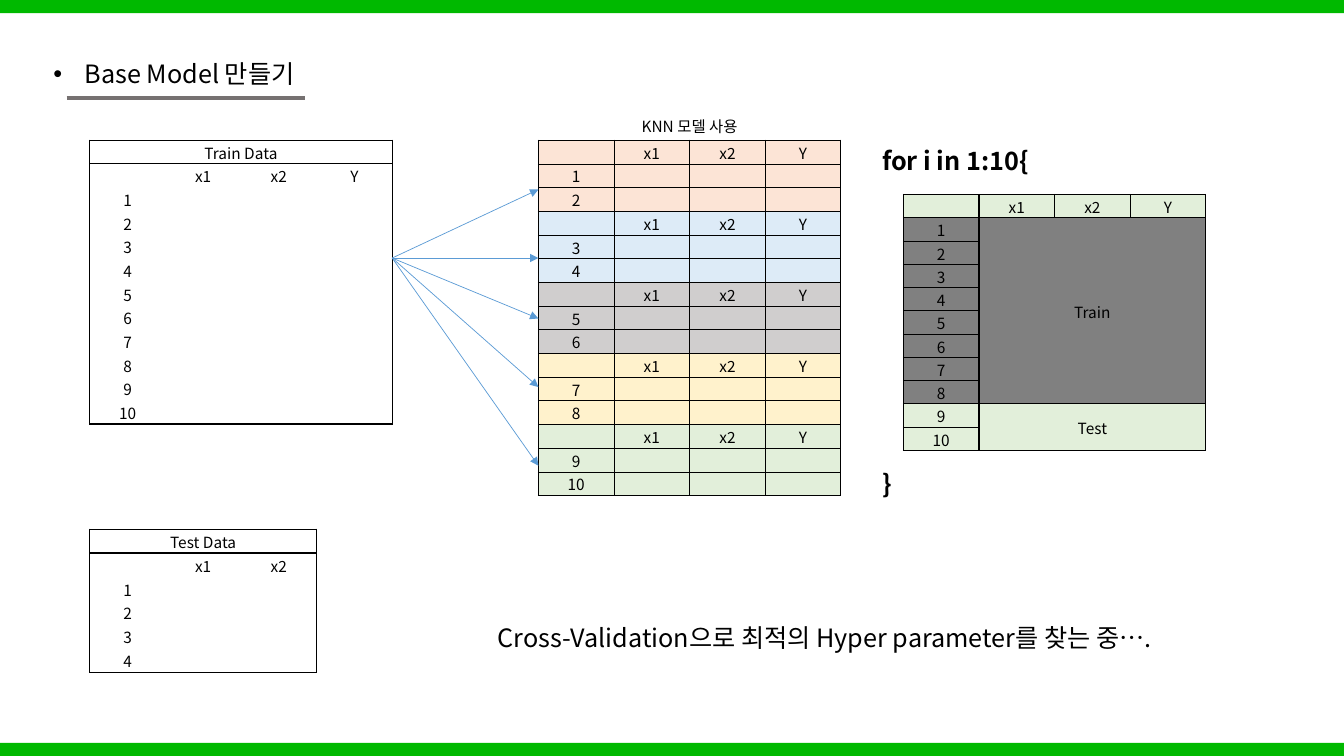
from lxml.etree import SubElement
from pptx import Presentation
from pptx.dml.color import RGBColor
from pptx.enum.shapes import MSO_CONNECTOR, MSO_SHAPE
from pptx.enum.text import MSO_ANCHOR, MSO_AUTO_SIZE, PP_ALIGN
from pptx.oxml import parse_xml
from pptx.oxml.ns import nsdecls, qn
from pptx.util import Inches, Pt

FONT = "Noto Sans CJK KR"
NO_GRID_STYLE = "{2D5ABB26-0587-4C30-8999-92F81FD0307C}"
COLORS = {
    "black": "000000", "bar": "00B900", "underline": "767171", "arrow": "5B9BD5",
    "orange": "FCE4D6", "blue": "DDEBF7", "gray": "D0CECE", "yellow": "FFF2CC",
    "green": "E2EFDA", "train": "808080",
}
FOLD_COLORS = ["orange", "blue", "gray", "yellow", "green"]
FOLD_ARROW_ENDS = [1.88, 2.56, 3.16, 3.84, 4.62]
HEADER = ["", "x1", "x2", "Y"]
COLUMN_WIDTH = 0.75


def color(name):
    """Return the named colour."""
    return RGBColor.from_string(COLORS[name])


def format_paragraph(paragraph, size, alignment=PP_ALIGN.LEFT, bold=False):
    """Apply the slide's font, size and alignment to a paragraph."""
    paragraph.alignment = alignment
    for run in paragraph.runs:
        run.font.size = Pt(size)
        run.font.bold = bold
        run.font.color.rgb = color("black")
        run.font.name = FONT
        SubElement(run.font._element, qn("a:ea"), typeface=FONT)


def fill_text(shape, text, size, alignment=PP_ALIGN.LEFT, bold=False):
    """Write one formatted paragraph into a shape that grows with its text."""
    frame = shape.text_frame
    frame.word_wrap = True
    frame.auto_size = MSO_AUTO_SIZE.SHAPE_TO_FIT_TEXT
    frame.vertical_anchor = MSO_ANCHOR.TOP
    frame.text = text
    format_paragraph(frame.paragraphs[0], size, alignment, bold)


def add_text(slide, at, text, size, alignment=PP_ALIGN.LEFT, bold=False):
    """Add a text box."""
    box = slide.shapes.add_textbox(*map(Inches, at))
    fill_text(box, text, size, alignment, bold)


def add_title(slide, at, text):
    """Place the title as a bulleted line."""
    title = slide.shapes.title
    title.left, title.top, title.width, title.height = map(Inches, at)
    fill_text(title, text, 18)
    properties = title.text_frame.paragraphs[0]._p.get_or_add_pPr()
    properties.set("marL", str(Inches(0.31)))
    properties.set("indent", str(Inches(-0.31)))
    SubElement(properties, qn("a:buFont"), typeface="Arial")
    SubElement(properties, qn("a:buChar"), char="•")


def add_bar(slide, top):
    """Add a green bar across the slide."""
    bar = slide.shapes.add_shape(
        MSO_SHAPE.RECTANGLE, 0, Inches(top), Inches(13.33), Inches(0.13))
    bar.shadow.inherit = False
    bar.fill.solid()
    bar.fill.fore_color.rgb = color("bar")
    bar.line.fill.background()


def add_line(slide, start, end, color_name, width, arrow=False):
    """Add a straight line, with an arrowhead at its end if wanted."""
    connector = slide.shapes.add_connector(
        MSO_CONNECTOR.STRAIGHT, *map(Inches, start + end))
    connector.line.color.rgb = color(color_name)
    connector.line.width = Pt(width)
    if arrow:
        SubElement(connector.line._get_or_add_ln(), qn("a:tailEnd"), type="triangle")
    SubElement(connector._element.spPr, qn("a:effectLst"))


def set_borders(cell, widths):
    """Set the left, right, top and bottom border widths of a cell."""
    properties = cell._tc.get_or_add_tcPr()
    for index, (side, width) in enumerate(zip("LRTB", widths)):
        paint = (f'<a:solidFill><a:srgbClr val="{COLORS["black"]}"/></a:solidFill>'
                 if width else "<a:noFill/>")
        properties.insert(index, parse_xml(
            f'<a:ln{side} {nsdecls("a")} w="{Pt(width)}">{paint}</a:ln{side}>'))


def format_cell(cell, text, fill):
    """Write and fill a table cell."""
    cell.margin_left = cell.margin_right = cell.margin_top = Inches(0.01)
    cell.margin_bottom = 0
    cell.vertical_anchor = MSO_ANCHOR.MIDDLE
    paragraph = cell.text_frame.paragraphs[0]
    paragraph.text = text
    format_paragraph(paragraph, 11, PP_ALIGN.CENTER)
    if not text:
        paragraph._p.get_or_add_endParaRPr().set("sz", "1100")
    if fill:
        cell.fill.solid()
        cell.fill.fore_color.rgb = color(fill)
    else:
        cell.fill.background()


def add_grid(slide, at, height, rows, fills, heavy_rows, heavy_columns, thin, merges=()):
    """Add a table whose heavy grid lines are 1 pt and all others thin."""
    column_count = len(rows[-1])
    width = column_count * COLUMN_WIDTH
    table = slide.shapes.add_table(
        len(rows), column_count, *map(Inches, (*at, width, height))).table
    table.first_row = table.horz_banding = False
    table._tbl.tblPr.find(qn("a:tableStyleId")).text = NO_GRID_STYLE
    for first, last in merges:
        table.cell(*first).merge(table.cell(*last))
    for r, texts in enumerate(rows):
        table.rows[r].height = Inches(height / len(rows))
        for c, text in enumerate(texts):
            cell = table.cell(r, c)
            format_cell(cell, text, fills[r])
            light = 0 if cell.is_spanned else thin
            right, bottom = c + cell.span_width, r + cell.span_height
            if cell.is_spanned:
                right, bottom = c + 1, r + 1
            set_borders(cell, [
                1 if c in heavy_columns else light,
                1 if right in heavy_columns else light,
                1 if r in heavy_rows else light,
                1 if bottom in heavy_rows else light])
    for c in range(column_count):
        table.columns[c].width = Inches(COLUMN_WIDTH)


def numbered_rows(first, last, column_count=4):
    """Return rows that hold only a number in the first column."""
    return [[str(n)] + [""] * (column_count - 1) for n in range(first, last + 1)]


def add_data_table(slide, at, height, name, header, count):
    """Add an outlined data table under a merged heading."""
    columns = len(header)
    rows = [[name] + [""] * (columns - 1), header, *numbered_rows(1, count, columns)]
    add_grid(slide, at, height, rows, [None] * len(rows), {0, 1, len(rows)},
             {0, columns}, 0, [((0, 0), (0, columns - 1))])


def add_fold_table(slide):
    """Add the table of five coloured folds."""
    rows, fills = [], []
    for index, name in enumerate(FOLD_COLORS):
        rows += [HEADER, *numbered_rows(2 * index + 1, 2 * index + 2)]
        fills += [name] * 3
    add_grid(slide, (5.34, 1.39), 3.53, rows, fills, range(0, 16, 3), {0, 4}, 0.5)


def add_split_table(slide):
    """Add the table that splits the rows into train and test."""
    rows = [HEADER, *numbered_rows(1, 10)]
    rows[1][1], rows[9][1] = "Train", "Test"
    fills = ["green"] + ["train"] * 8 + ["green"] * 2
    add_grid(slide, (8.96, 1.93), 2.54, rows, fills, {0, 1, 9, 11}, {0, 1, 4}, 0.5,
             [((1, 1), (8, 3)), ((9, 1), (10, 3))])


def main():
    """Build the cross-validation slide."""
    presentation = Presentation()
    presentation.slide_width, presentation.slide_height = Inches(13.33), Inches(7.5)
    slide = presentation.slides.add_slide(presentation.slide_layouts[5])
    for top in (0, 7.37):
        add_bar(slide, top)
    add_title(slide, (0.43, 0.53, 4.36, 0.4), "Base Model 만들기")
    add_line(slide, (0.66, 0.97), (3.03, 0.97), "underline", 3)
    add_data_table(slide, (0.89, 1.39), 2.82, "Train Data", HEADER, 10)
    add_data_table(slide, (0.89, 5.25), 1.42, "Test Data", HEADER[:3], 4)
    add_fold_table(slide)
    add_split_table(slide)
    for end in FOLD_ARROW_ENDS:
        add_line(slide, (3.89, 2.56), (5.34, end), "arrow", 0.5, arrow=True)
    add_text(slide, (5.34, 1.11, 3, 0.29), "KNN 모델 사용", 11, PP_ALIGN.CENTER)
    add_text(slide, (8.65, 1.39, 1.81, 0.4), "for i in 1:10{", 18, bold=True)
    add_text(slide, (8.65, 4.6, 1.81, 0.4), "}", 18, bold=True)
    add_text(slide, (4.61, 6.12, 7.14, 0.4),
             "Cross-Validation으로 최적의 Hyper parameter를 찾는 중….", 18, PP_ALIGN.CENTER)
    presentation.save("out.pptx")


if __name__ == "__main__":
    main()
